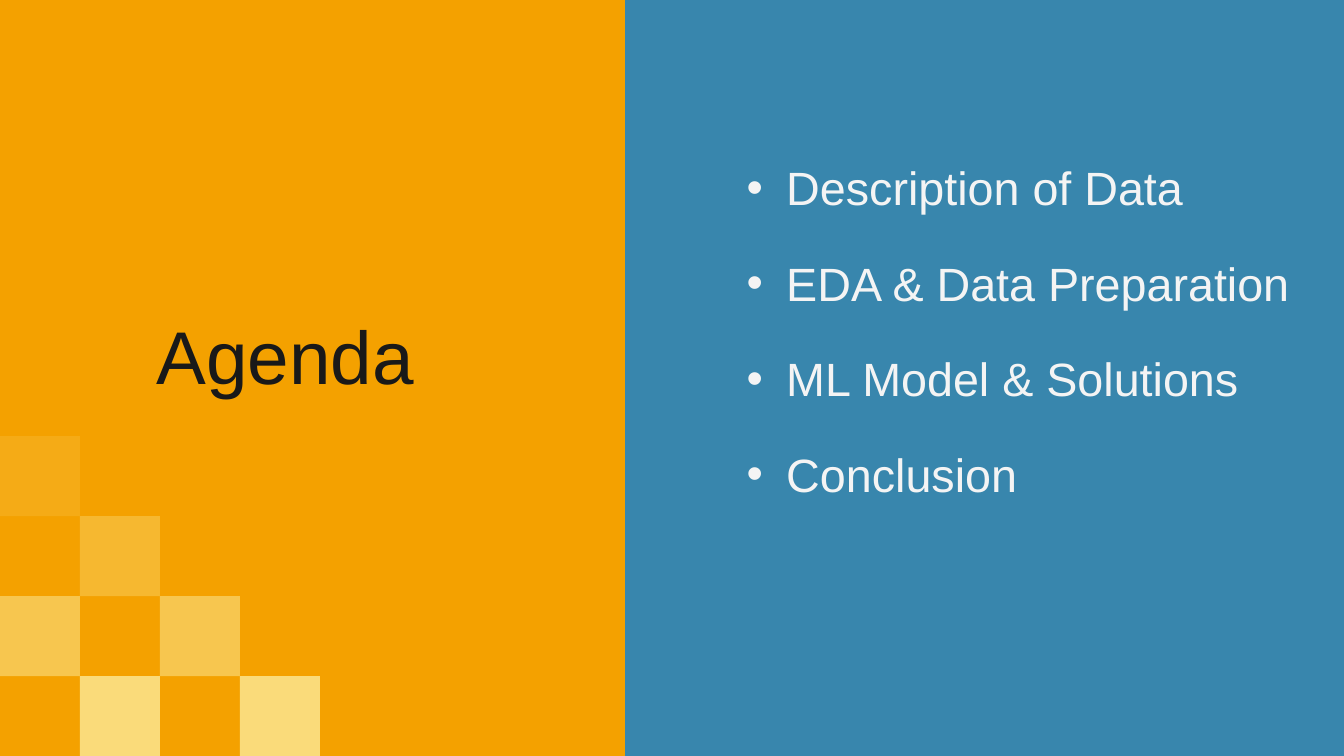
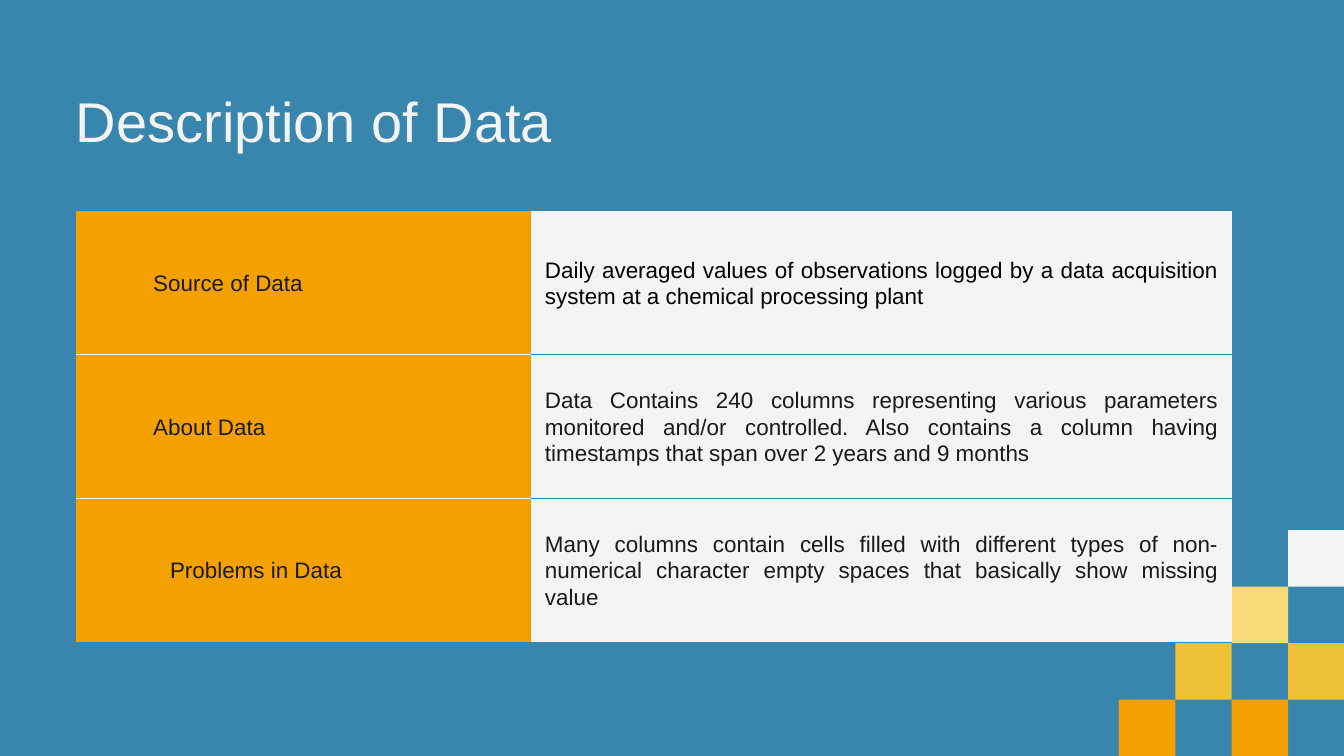
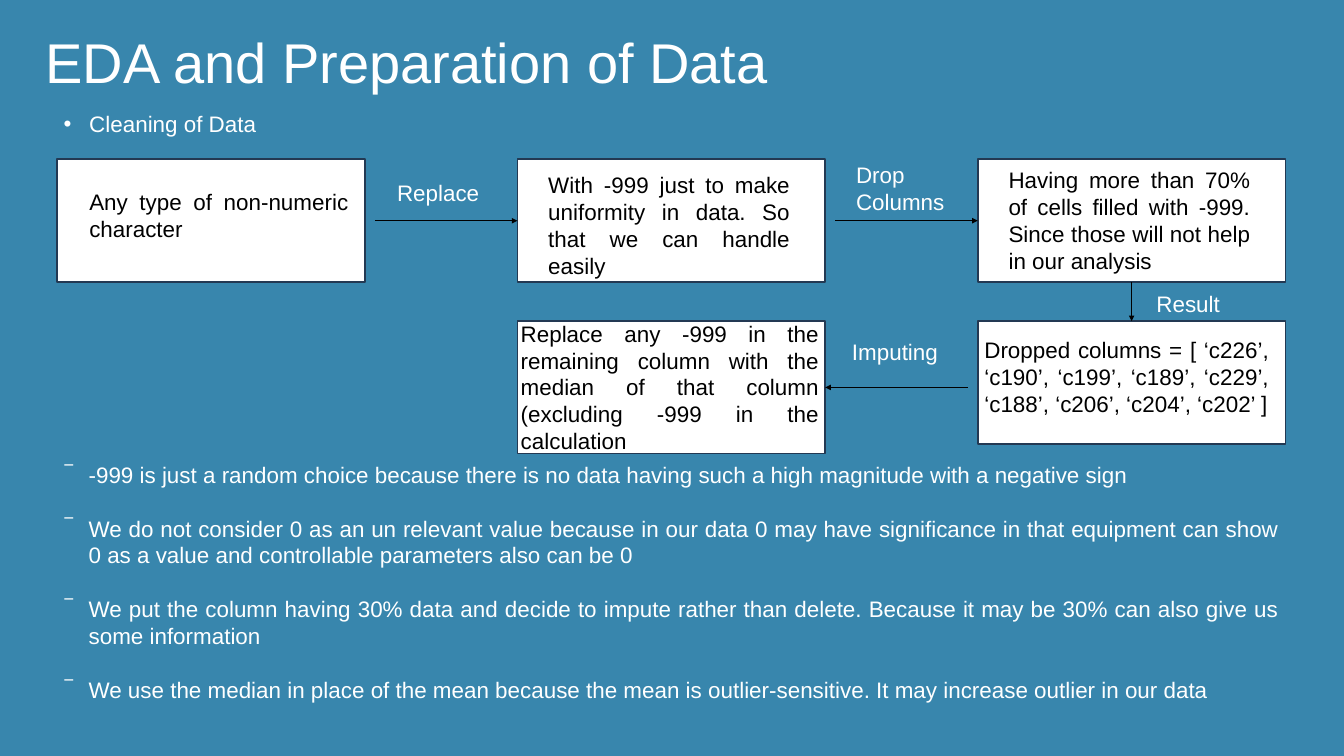
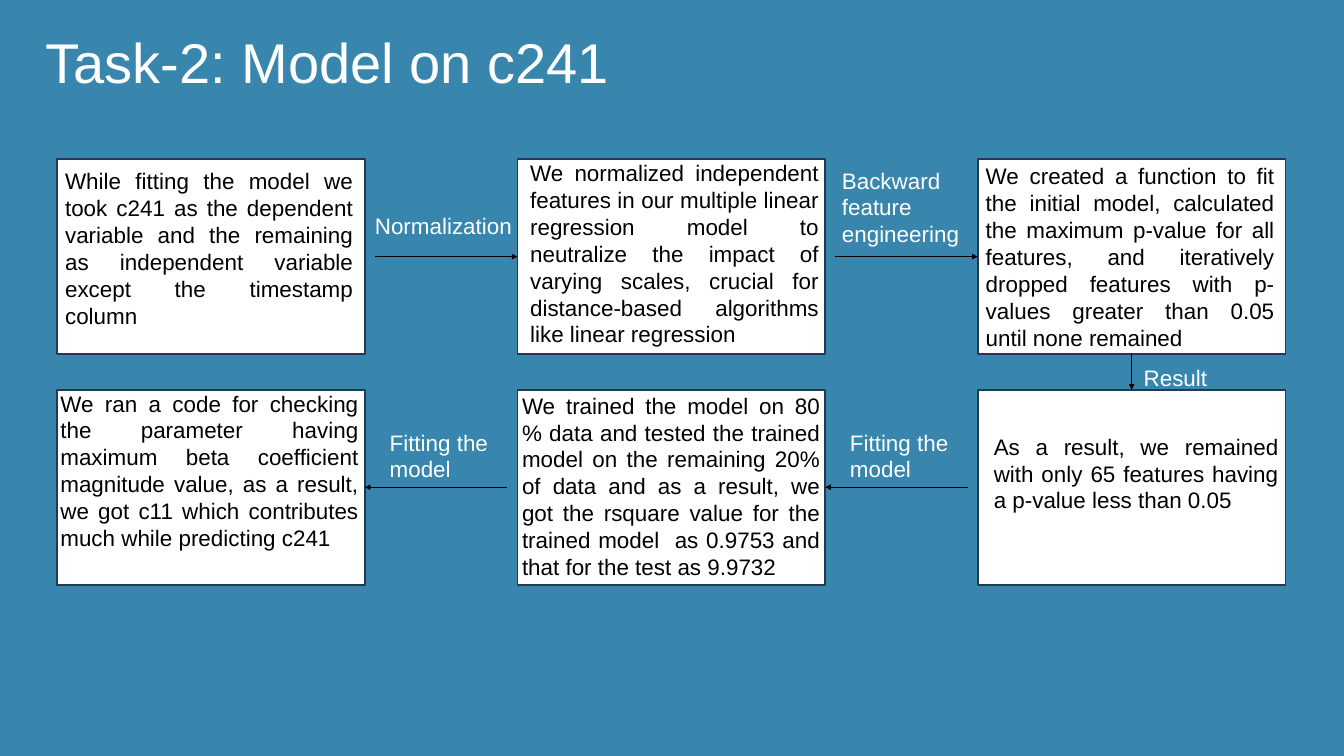
from lxml import etree
from pptx import Presentation
from pptx.dml.color import RGBColor
from pptx.enum.shapes import MSO_CONNECTOR, MSO_SHAPE
from pptx.enum.text import MSO_ANCHOR, MSO_AUTO_SIZE, PP_ALIGN
from pptx.oxml.ns import qn
from pptx.util import Inches, Pt

RECT = MSO_SHAPE.RECTANGLE
LINE = MSO_CONNECTOR.STRAIGHT
LEFT, JUSTIFY = PP_ALIGN.LEFT, PP_ALIGN.JUSTIFY
TOP, MIDDLE = MSO_ANCHOR.TOP, MSO_ANCHOR.MIDDLE
SIDE_TOP, SIDE_LEFT, SIDE_BOTTOM, SIDE_RIGHT = range(4)

WIDE, HIGH = 20, 11.25
FONT = "Arial"
COLORS = {
    "blue": "3886AD",
    "orange": "F4A100",
    "gold": "EFC136",
    "cream": "FADB7A",
    "pale": "F4F4F4",
    "white": "FFFFFF",
    "ink": "191919",
    "black": "000000",
    "navy": "233953",
}

# Flow charts: three columns of boxes with arrows in the gaps
BOX_W, COL_STEP, FLOW_X = 4.58, 6.85, 0.85
GAP = 0.15


def rgb(name):
    return RGBColor.from_string(COLORS[name])


def col_x(col):
    return FLOW_X + col * COL_STEP


def write(frame, items, size=24, color="white", align=LEFT, leading=None,
          before=0, bullet=None, indent=0.0, hang=None, inset=(0.1, 0.05),
          anchor=TOP):
    """Fill a text frame, one paragraph for each item."""
    frame.word_wrap = True
    frame.auto_size = MSO_AUTO_SIZE.NONE
    frame.vertical_anchor = anchor
    frame.margin_left = frame.margin_right = Inches(inset[0])
    frame.margin_top = frame.margin_bottom = Inches(inset[1])
    for i, item in enumerate(items):
        para = frame.paragraphs[0] if i == 0 else frame.add_paragraph()
        style(para, item, size, color, align, leading)
        if i and before:
            para.space_before = Pt(before)
        if bullet:
            props = para._p.get_or_add_pPr()
            props.set("marL", str(Inches(indent)))
            props.set("indent", str(-Inches(hang or indent)))
            etree.SubElement(props, qn("a:buFont"), typeface=FONT)
            etree.SubElement(props, qn("a:buChar"), char=bullet)


def style(para, words, size, color, align, leading):
    para.alignment = align
    if leading:
        para.line_spacing = Pt(leading)
    run = para.add_run()
    run.text = words
    run.font.name = FONT
    run.font.size = Pt(size)
    run.font.color.rgb = rgb(color)


def text(slide, x, y, w, h, *items, **form):
    box = slide.shapes.add_textbox(*map(Inches, (x, y, w, h)))
    write(box.text_frame, items, **form)


def title(slide, words, x, y, w, h, **form):
    """Place the title and bring it to the front."""
    holder = slide.shapes.title
    holder.left, holder.top, holder.width, holder.height = map(Inches, (x, y, w, h))
    write(holder.text_frame, [words], **form)
    slide.shapes._spTree.append(holder._element)


def block(slide, x, y, w, h, fill, line=None, alpha=None):
    shape = slide.shapes.add_shape(RECT, *map(Inches, (x, y, w, h)))
    shape.shadow.inherit = False
    shape.fill.solid()
    shape.fill.fore_color.rgb = rgb(fill)
    if alpha:
        tint = shape._element.spPr.find(".//" + qn("a:srgbClr"))
        etree.SubElement(tint, qn("a:alpha"), val=str(alpha * 1000))
    if line:
        shape.line.color.rgb = rgb(line)
        shape.line.width = Pt(2)
    else:
        shape.line.fill.background()
    return shape


def tiles(slide, left, side, cells):
    """Draw squares on a four-row grid that stands on the slide's lower edge."""
    top = HIGH - 4 * side
    for col, row, fill, alpha in cells:
        block(slide, left + col * side, top + row * side, side, side, fill, alpha=alpha)


def card(slide, col, top, high, words, dx, dy, w):
    """Draw a flow box with its text set off by dx, dy."""
    x = col_x(col)
    box = block(slide, x, top, BOX_W, high, "white", line="navy")
    text(slide, x + dx, top + dy, w, high - dy, words, color="black", align=JUSTIFY)
    return box


def label(slide, words, col, dx, y, w=1.67, h=0.91):
    """Write beside an arrow, dx from the right side of a column."""
    text(slide, col_x(col) + BOX_W + dx, y, w, h, words)


def arrow(slide, start, goal, side):
    """Lead an arrow from one box to the given side of the next."""
    mid_y = goal.top + goal.height // 2
    if side == SIDE_LEFT:
        begin = start.left + start.width + Inches(GAP), mid_y
    else:
        begin = start.left - Inches(GAP), mid_y
    link = slide.shapes.add_connector(LINE, *begin, *begin)
    if side == SIDE_TOP:
        link.begin_connect(start, SIDE_BOTTOM)
    link.end_connect(goal, side)
    link.line.color.rgb = rgb("black")
    link.line.width = Pt(0.75)
    etree.SubElement(link.line._get_or_add_ln(), qn("a:tailEnd"), type="triangle")
    etree.SubElement(link._element.spPr, qn("a:effectLst"))


def edges(cell, above, below, color):
    """Rule a cell above and below where asked, and nowhere else."""
    props = cell._tc.get_or_add_tcPr()
    for i, (tag, drawn) in enumerate(
            (("lnL", False), ("lnR", False), ("lnT", above), ("lnB", below))):
        line = etree.Element(qn("a:" + tag), w=str(Pt(1.5) if drawn else 0))
        if drawn:
            fill = etree.SubElement(line, qn("a:solidFill"))
            etree.SubElement(fill, qn("a:srgbClr"), val=COLORS[color])
        else:
            etree.SubElement(line, qn("a:noFill"))
        props.insert(i, line)


def grid(slide, x, y, widths, row_h, rows):
    """Build the table of headings, their indents and details."""
    frame = slide.shapes.add_table(
        len(rows), 2, *map(Inches, (x, y, sum(widths), row_h * len(rows))))
    table = frame.table
    table.first_row = table.horz_banding = False
    for col, width in zip(table.columns, widths):
        col.width = Inches(width)
    for r, (head, indent, detail, ink) in enumerate(rows):
        table.rows[r].height = Inches(row_h)
        looks = ((head, indent, "orange", "ink", LEFT, "pale"),
                 (detail, 0.21, "pale", ink, JUSTIFY, "blue"))
        for c, (words, pad, fill, color, align, rule) in enumerate(looks):
            cell = table.cell(r, c)
            cell.vertical_anchor = MIDDLE
            cell.margin_left = Inches(pad)
            cell.margin_right = cell.margin_top = cell.margin_bottom = Inches(0.21)
            style(cell.text_frame.paragraphs[0], words, 24, color, align, 28)
            cell.fill.solid()
            cell.fill.fore_color.rgb = rgb(fill)
            edges(cell, r > 0, r < len(rows) - 1, rule)


def agenda(slide):
    block(slide, 0, 0, 9.3, HIGH, "orange")
    tiles(slide, 0, 1.19, [
        (3, 3, "cream", None), (2, 2, "cream", 65), (1, 1, "cream", 40),
        (0, 0, "cream", 19), (0, 2, "cream", 65), (1, 3, "cream", None)])
    title(slide, "Agenda", 2.33, 4.61, 4.9, 1.51,
          size=80, color="ink", leading=96, inset=(0, 0))
    topics = ("Description of Data", "EDA & Data Preparation",
              "ML Model & Solutions", "Conclusion")
    for i, topic in enumerate(topics):
        text(slide, 10.52, 2.23 + 1.42 * i, 8.79, 1.16, topic, size=50,
             color="pale", leading=70, bullet="•", indent=1.18, hang=0.59,
             inset=(0, 0))


def source(slide):
    tiles(slide, 16.65, 0.84, [
        (3, 0, "pale", None), (2, 1, "cream", None), (1, 2, "gold", None),
        (0, 3, "orange", None), (2, 3, "orange", None), (3, 2, "gold", None)])
    grid(slide, 1.13, 3.14, (6.77, 10.43), 2.14, [
        ("Source of Data", 1.15,
         "Daily averaged values of observations logged by a data acquisition "
         "system at a chemical processing plant", "black"),
        ("About Data", 1.15,
         "Data Contains 240 columns representing various parameters monitored "
         "and/or controlled. Also contains a column having timestamps that span "
         "over 2 years and 9 months", "ink"),
        ("Problems in Data", 1.4,
         "Many columns contain cells filled with different types of non-numerical "
         "character empty spaces that basically show missing value", "ink")])
    title(slide, "Description of Data", 1.13, 1.29, 17.75, 1.01,
          size=60, color="pale", leading=72, inset=(0, 0))


def flow_title(slide, words):
    title(slide, words, 0.58, 0.36, 17.42, 1.11, size=60)


def cleaning(slide):
    flow_title(slide, "EDA and Preparation of Data")
    text(slide, 0.85, 1.59, 7.5, 0.5, "Cleaning of Data", bullet="•", indent=0.38)
    upper, lower, high = 2.37, 4.78, 1.83

    raw = card(slide, 0, upper, high, "Any type of non-numeric character",
               0.38, 0.38, 4.05)
    even = card(slide, 1, upper, high,
                "With -999 just to make uniformity in data. So that we can handle easily",
                0.36, 0.13, 3.79)
    sparse = card(slide, 2, upper, high,
                  "Having more than 70% of cells filled with -999. Since those will "
                  "not help in our analysis", 0.36, 0.06, 3.79)
    cut = card(slide, 2, lower, high,
               "Dropped columns = [ ‘c226’, ‘c190’, ‘c199’, ‘c189’, ‘c229’, ‘c188’, "
               "‘c206’, ‘c204’, ‘c202’ ]", 0, 0.17, 4.43)
    fill = card(slide, 1, lower, 1.97,
                "Replace any -999 in the remaining column with the median of that "
                "column (excluding -999 in the calculation", -0.05, -0.07, 4.63)

    arrow(slide, raw, even, SIDE_LEFT)
    arrow(slide, even, sparse, SIDE_LEFT)
    arrow(slide, sparse, cut, SIDE_TOP)
    arrow(slide, cut, fill, SIDE_RIGHT)
    label(slide, "Replace", 0, 0.38, 2.61, h=0.5)
    label(slide, "Drop Columns", 1, 0.36, 2.35)
    label(slide, "Result", 2, -2.02, 4.27, w=2.17, h=0.5)
    label(slide, "Imputing", 1, 0.3, 4.98, h=0.5)

    text(slide, 0.87, 6.81, 18.25, 4.14,
         "-999 is just a random choice because there is no data having such a high "
         "magnitude with a negative sign",
         "We do not consider 0 as an un relevant value because in our data 0 may have "
         "significance in that equipment can show 0 as a value and controllable "
         "parameters also can be 0",
         "We put the column having 30% data and decide to impute rather than delete. "
         "Because it may be 30% can also give us some information",
         "We use the median in place of the mean because the mean is "
         "outlier-sensitive. It may increase outlier in our data",
         align=JUSTIFY, before=28.8, bullet="‾", indent=0.35)


def model(slide):
    flow_title(slide, "Task-2: Model on c241")
    upper, lower, high = 2.37, 5.8, 2.9

    fit = card(slide, 0, upper, high,
               "While fitting the model we took c241 as the dependent variable and "
               "the remaining as independent variable except the timestamp column",
               0.02, 0.07, 4.48)
    scale = card(slide, 1, upper, high,
                 "We normalized independent features in our multiple linear regression "
                 "model to neutralize the impact of varying scales, crucial for "
                 "distance-based algorithms like linear regression", 0.09, -0.05, 4.49)
    prune = card(slide, 2, upper, high,
                 "We created a function to fit the initial model, calculated the "
                 "maximum p-value for all features, and iteratively dropped features "
                 "with p-values greater than 0.05 until none remained", 0.02, 0, 4.49)
    kept = card(slide, 2, lower, high,
                "As a result, we remained with only 65 features having a p-value less "
                "than 0.05", 0.14, 0.59, 4.43)
    score = card(slide, 1, lower, high,
                 "We trained the model on 80 % data and tested the trained model on "
                 "the remaining 20% of data and as a result, we got the rsquare value "
                 "for the trained model  as 0.9753 and that for the test as 9.9732",
                 -0.03, -0.02, 4.63)
    best = card(slide, 0, lower, high,
                "We ran a code for checking the parameter having maximum beta "
                "coefficient magnitude value, as a result, we got c11 which "
                "contributes much while predicting c241", -0.05, -0.05, 4.63)

    arrow(slide, fit, scale, SIDE_LEFT)
    arrow(slide, scale, prune, SIDE_LEFT)
    arrow(slide, prune, kept, SIDE_TOP)
    arrow(slide, kept, score, SIDE_RIGHT)
    arrow(slide, score, best, SIDE_RIGHT)
    label(slide, "Normalization", 0, 0.05, 3.1, w=2.26, h=0.5)
    label(slide, "Backward feature engineering", 1, 0.15, 2.43, w=2.19, h=1.31)
    label(slide, "Result", 2, -2.21, 5.37, w=2.17, h=0.5)
    for col in (0, 1):
        label(slide, "Fitting the model", col, 0.27, 6.33)


def main():
    prs = Presentation()
    prs.slide_width, prs.slide_height = Inches(WIDE), Inches(HIGH)
    back = prs.slide_master.background.fill
    back.solid()
    back.fore_color.rgb = rgb("blue")
    layout = prs.slide_layouts.get_by_name("Title Only")
    for build in (agenda, source, cleaning, model):
        build(prs.slides.add_slide(layout))
    prs.save("out.pptx")


if __name__ == "__main__":
    main()
